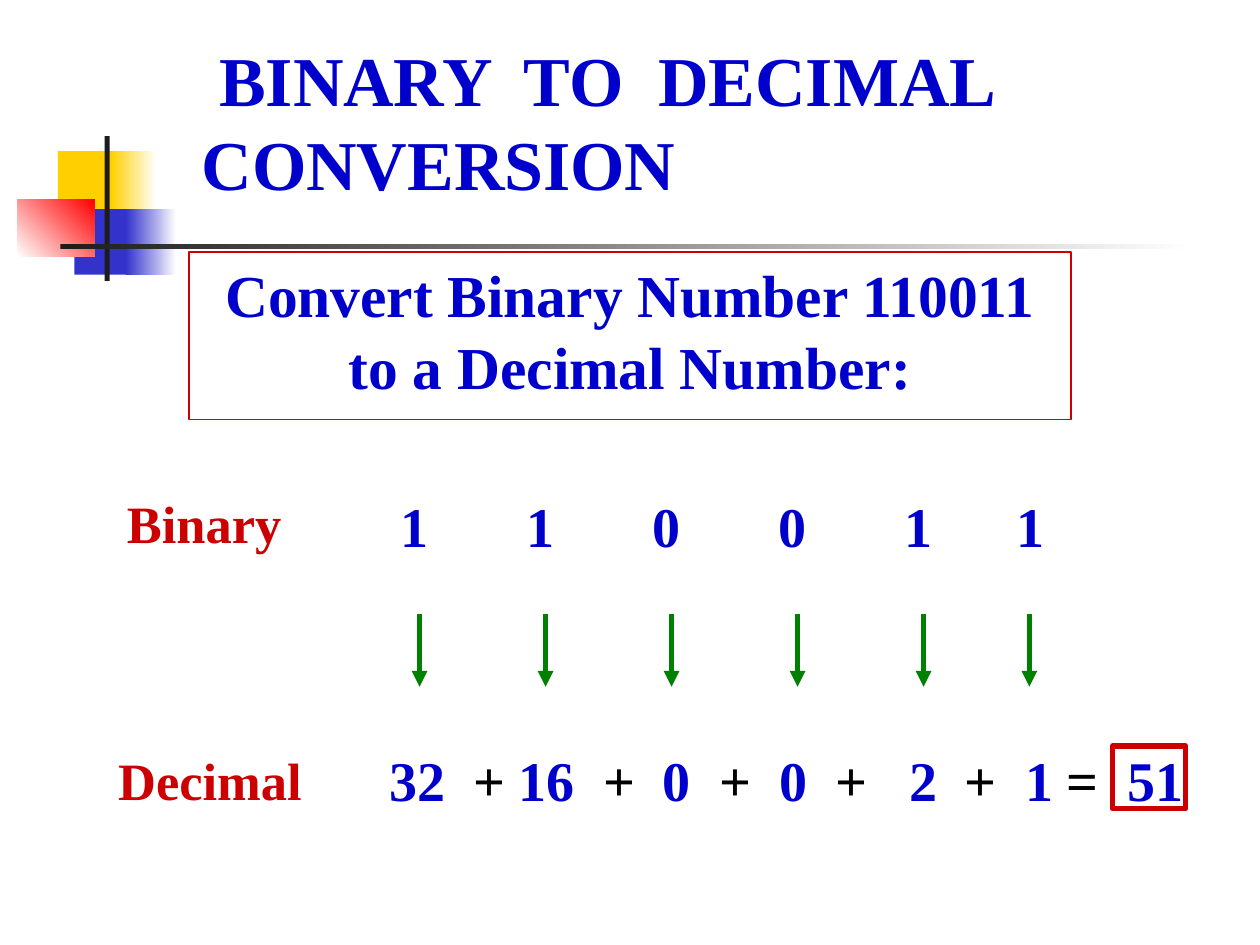
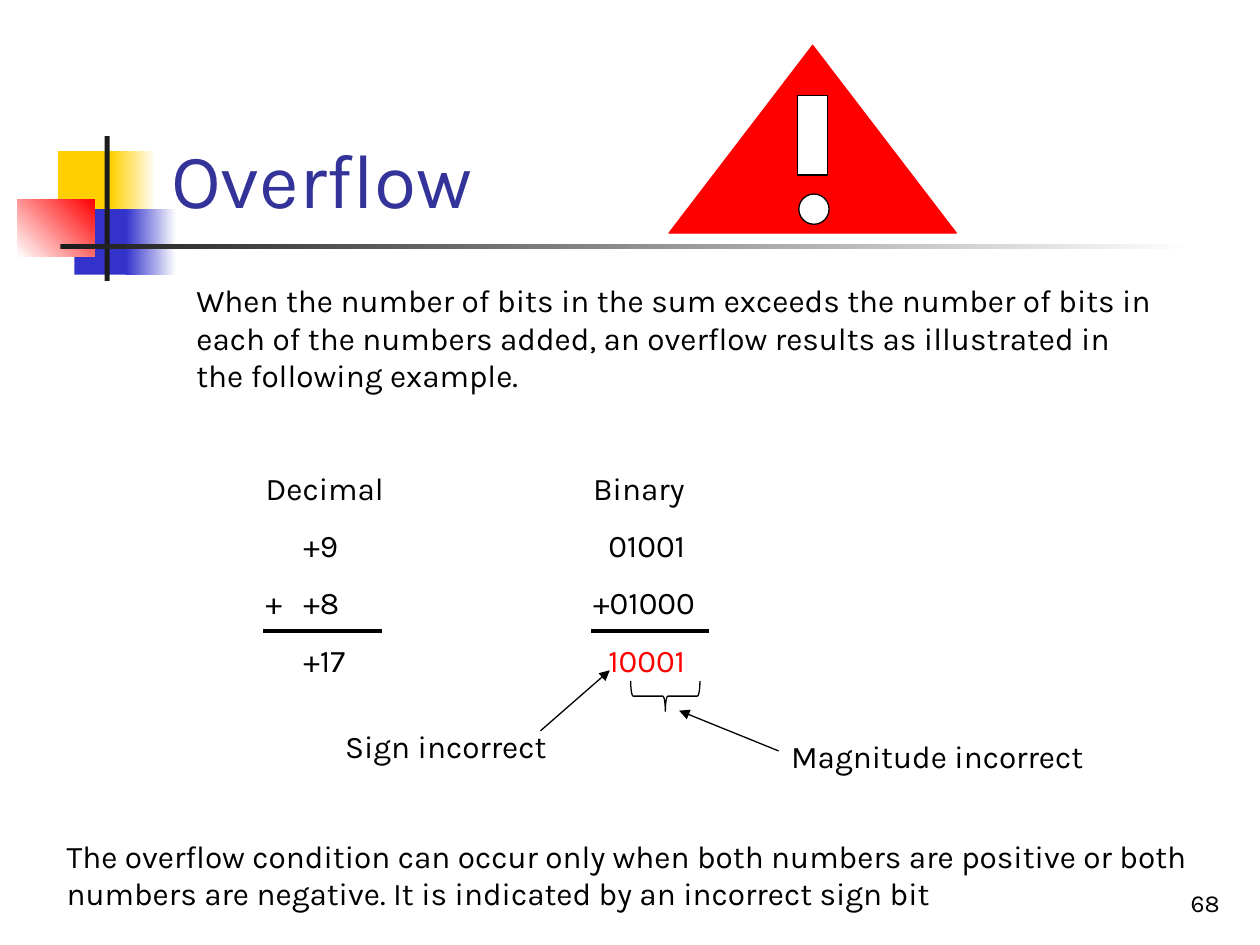
from lxml.etree import SubElement
from pptx import Presentation
from pptx.dml.color import RGBColor
from pptx.enum.shapes import MSO_CONNECTOR, MSO_SHAPE
from pptx.enum.text import MSO_ANCHOR, MSO_AUTO_SIZE, PP_ALIGN
from pptx.oxml.ns import qn
from pptx.util import Inches, Pt

WHITE = RGBColor(0xFF, 0xFF, 0xFF)
BLACK = RGBColor(0x00, 0x00, 0x00)
YELLOW = RGBColor(0xFF, 0xCF, 0x01)
INDIGO = RGBColor(0x33, 0x33, 0xCC)
CHARCOAL = RGBColor(0x1C, 0x1C, 0x1C)
RED = RGBColor(0xFF, 0x00, 0x00)
DARK_RED = RGBColor(0xCC, 0x00, 0x00)
BLUE = RGBColor(0x00, 0x00, 0xCC)
TITLE_BLUE = RGBColor(0x33, 0x33, 0x99)
GREEN = RGBColor(0x00, 0x80, 0x00)

SANS = "Karla"
SERIF = "Times New Roman"
SERIF_BOLD = {"font": SERIF, "bold": True}
SANS_SPACING = 11.2

TITLE_AND_BODY = 1
TITLE_ONLY = 5


def write(frame, text, *, size=18, font=SANS, color=BLACK, bold=False,
          align=PP_ALIGN.LEFT, before=0, margin=0, first_indent=0):
    """Add a paragraph without a bullet, filling the empty first one if there is one."""
    paragraph = frame.paragraphs[0]
    if paragraph.runs:
        paragraph = frame.add_paragraph()
    paragraph.alignment = align
    paragraph.space_before = Pt(before)
    properties = paragraph._p.get_or_add_pPr()
    properties.set("marL", str(Inches(margin)))
    properties.set("indent", str(Inches(first_indent)))
    SubElement(properties, qn("a:buNone"))
    run = paragraph.add_run()
    run.text = text
    run.font.size = Pt(size)
    run.font.name = font
    run.font.bold = bold
    run.font.color.rgb = color


def place(shape, left, top, width, height):
    shape.left, shape.top = Inches(left), Inches(top)
    shape.width, shape.height = Inches(width), Inches(height)


def prepare_frame(shape, anchor=MSO_ANCHOR.TOP):
    frame = shape.text_frame
    frame.word_wrap = True
    frame.auto_size = MSO_AUTO_SIZE.NONE
    frame.vertical_anchor = anchor
    return frame


def add_text_box(slide, box, anchor=MSO_ANCHOR.TOP):
    return prepare_frame(slide.shapes.add_textbox(*map(Inches, box)), anchor)


def add_label(slide, box, text, anchor=MSO_ANCHOR.TOP, **text_format):
    write(add_text_box(slide, box, anchor), text, **text_format)


def add_title(slide, box, text, **text_format):
    title = slide.shapes.title
    place(title, *box)
    write(prepare_frame(title, MSO_ANCHOR.BOTTOM), text, **text_format)


def outline(shape, color, width):
    shape.line.color.rgb = color
    shape.line.width = Pt(width)


def add_figure(slide, kind, box, fill=None, line=None, line_width=0.75):
    shape = slide.shapes.add_shape(kind, *map(Inches, box))
    shape.shadow.inherit = False
    if fill is None:
        shape.fill.background()
    else:
        shape.fill.solid()
        shape.fill.fore_color.rgb = fill
    if line is None:
        shape.line.fill.background()
    else:
        outline(shape, line, line_width)
    return shape


def add_fade(slide, box, start, end, angle=0):
    """Add a rectangle with a gradient between two colours."""
    shape = add_figure(slide, MSO_SHAPE.RECTANGLE, box)
    shape.fill.gradient()
    shape.fill.gradient_angle = angle
    for stop, color in zip(shape.fill.gradient_stops, (start, end)):
        stop.color.rgb = color


def add_line(slide, start, end, color=BLACK, width=0.75, arrow=False):
    connector = slide.shapes.add_connector(
        MSO_CONNECTOR.STRAIGHT, *map(Inches, (*start, *end)))
    outline(connector, color, width)
    if arrow:
        SubElement(connector.line._get_or_add_ln(), qn("a:tailEnd"), type="triangle")
    SubElement(connector._element.spPr, qn("a:effectLst"))


def add_motif(slide):
    """Draw the coloured squares and the crossing bars beside the title."""
    rectangle = MSO_SHAPE.RECTANGLE
    add_figure(slide, rectangle, (0.46, 1.2, 0.48, 0.52), YELLOW)
    add_fade(slide, (0.88, 1.2, 0.36, 0.52), YELLOW, WHITE)
    add_figure(slide, rectangle, (0.59, 1.66, 0.46, 0.52), INDIGO)
    add_fade(slide, (1, 1.66, 0.4, 0.52), INDIGO, WHITE)
    add_fade(slide, (0.14, 1.58, 0.61, 0.46), WHITE, RED, angle=45)
    add_figure(slide, rectangle, (0.83, 1.08, 0.04, 1.15), CHARCOAL)
    add_fade(slide, (0.48, 1.94, 9, 0.04), CHARCOAL, WHITE)


def add_slide(presentation, layout_index):
    slide = presentation.slides.add_slide(presentation.slide_layouts[layout_index])
    add_motif(slide)
    return slide


def add_symbol_row(slide, top, symbols, lefts, before=0):
    """Set numbers in blue and operators in black, each at its own left edge."""
    for symbol, left in zip(symbols, lefts):
        add_label(slide, (left, top, 0.7, 0.64), symbol, size=32, before=before,
                  color=BLUE if symbol.isdigit() else BLACK, **SERIF_BOLD)


def build_conversion_slide(presentation):
    slide = add_slide(presentation, TITLE_AND_BODY)
    add_title(slide, (1.5, 0, 7, 1.67), "BINARY  TO  DECIMAL CONVERSION",
              size=40, color=BLUE, first_indent=0.14, **SERIF_BOLD)

    task = slide.placeholders[1]
    place(task, 1.5, 2, 7, 1.33)
    outline(task, DARK_RED, 0.75)
    write(prepare_frame(task), "Convert Binary Number 110011 to a Decimal Number:",
          size=34, color=BLUE, align=PP_ALIGN.CENTER, before=8.5, **SERIF_BOLD)

    row_format = {"size": 30, "color": DARK_RED, "before": 7.5, **SERIF_BOLD}
    add_label(slide, (0.91, 3.85, 1.43, 0.6), "Binary", **row_format)
    add_label(slide, (0.84, 5.89, 1.66, 0.6), "Decimal", **row_format)

    digit_lefts = [3.08, 4.08, 5.08, 6.08, 7.08, 7.97]
    add_symbol_row(slide, 3.85, "110011", digit_lefts)
    for arrow_x in (3.33, 4.33, 5.33, 6.33, 7.33, 8.17):
        add_line(slide, (arrow_x, 4.87), (arrow_x, 5.45), GREEN, 3, arrow=True)

    term_lefts = [2.99, 3.66, 4.02, 4.69, 5.16, 5.61, 6.09,
                  6.53, 7.12, 7.56, 8.04, 8.37, 8.85]
    add_symbol_row(slide, 5.87, "32 + 16 + 0 + 0 + 2 + 1 = 51".split(),
                   term_lefts, before=8)
    add_figure(slide, MSO_SHAPE.RECTANGLE, (8.83, 5.92, 0.58, 0.5),
               line=DARK_RED, line_width=3)


def add_addition(slide, left, width, rows):
    """Stack the rows of a written addition with a rule above the result."""
    frame = add_text_box(slide, (left, 3.67, width, 1.77))
    for text, row_format in rows:
        write(frame, text, before=SANS_SPACING, **row_format)
    add_line(slide, (left + 0.08, 5.01), (left + 1.02, 5.01), width=2.25)


def add_warning_sign(slide):
    add_figure(slide, MSO_SHAPE.ISOSCELES_TRIANGLE, (5.31, 0.36, 2.28, 1.49), RED, RED)
    add_figure(slide, MSO_SHAPE.RECTANGLE, (6.33, 0.76, 0.24, 0.63), WHITE, BLACK)
    add_figure(slide, MSO_SHAPE.OVAL, (6.34, 1.54, 0.24, 0.24), WHITE, BLACK)


def build_overflow_slide(presentation):
    slide = add_slide(presentation, TITLE_ONLY)
    add_title(slide, (1.26, 0.23, 8.52, 1.6), "Overflow", size=44, color=TITLE_BLUE)

    add_addition(slide, 2.01, 1.18, [
        ("Decimal", {}),
        ("+9", {"margin": 0.3}),
        ("+\t+8", {"margin": 0.3, "first_indent": -0.3}),
        ("+17", {"margin": 0.3}),
    ])
    add_addition(slide, 4.61, 1.73, [
        ("Binary", {}),
        ("01001", {"margin": 0.12}),
        ("+01000", {}),
        ("10001", {"margin": 0.12, "color": RED}),
    ])

    brace = add_figure(slide, MSO_SHAPE.RIGHT_BRACE, (5.16, 5.25, 0.24, 0.55), line=BLACK)
    brace.rotation = 90
    add_line(slide, (4.29, 5.8), (4.84, 5.32), arrow=True)
    add_line(slide, (6.18, 5.96), (5.39, 5.64), arrow=True)

    remarks = [
        ((1.46, 2.18, 7.79, 1), "When the number of bits in the sum exceeds the number "
         "of bits in each of the numbers added, an overflow results as illustrated in "
         "the following example."),
        ((2.64, 5.72, 2.13, 0.4), "Sign incorrect"),
        ((6.18, 5.8, 2.52, 0.4), "Magnitude incorrect"),
        ((0.43, 6.59, 9.29, 0.7), "The overflow condition can occur only when both "
         "numbers are positive or both numbers are negative. It is indicated by an "
         "incorrect sign bit"),
    ]
    for box, text in remarks:
        add_label(slide, box, text, before=SANS_SPACING)

    add_warning_sign(slide)
    add_label(slide, (7.7, 6.83, 2.08, 0.5), "68", MSO_ANCHOR.BOTTOM,
              size=14, align=PP_ALIGN.RIGHT)


def main():
    presentation = Presentation()
    presentation.slide_width, presentation.slide_height = Inches(10), Inches(7.5)
    build_conversion_slide(presentation)
    build_overflow_slide(presentation)
    presentation.save("out.pptx")


if __name__ == "__main__":
    main()
